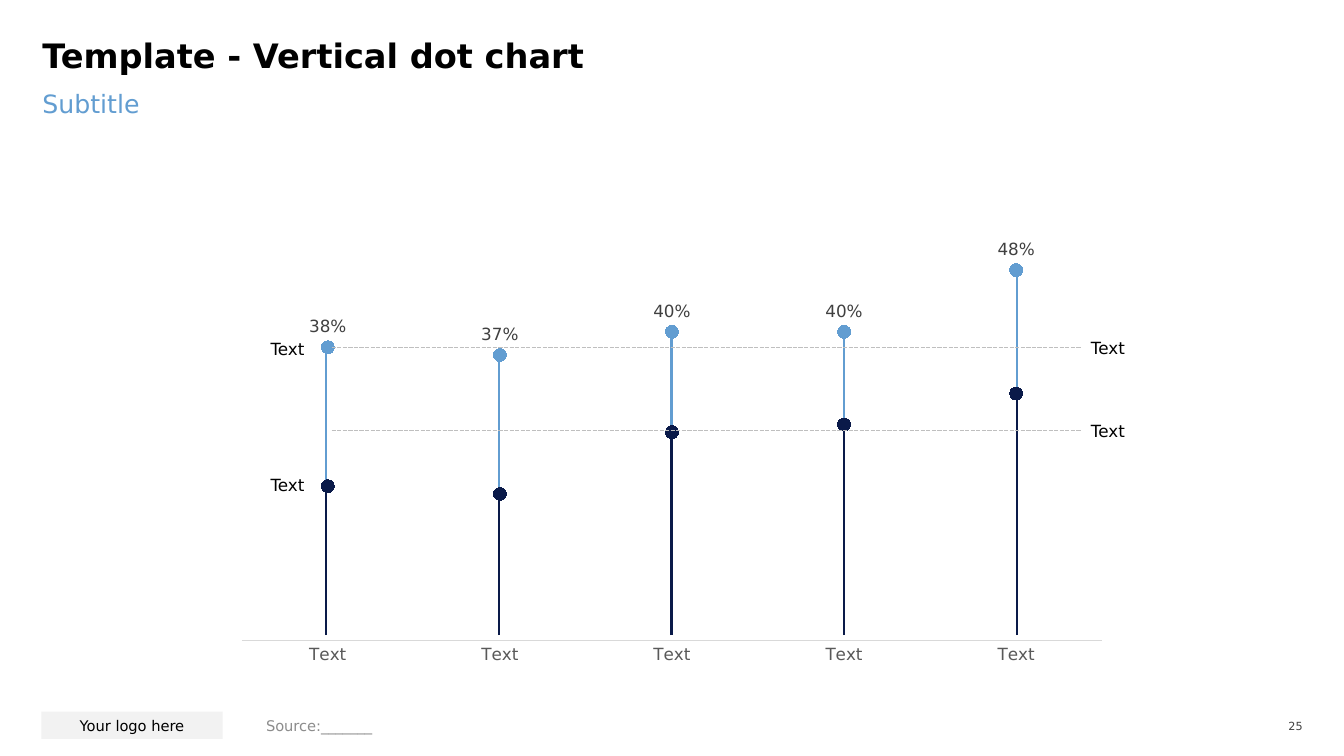
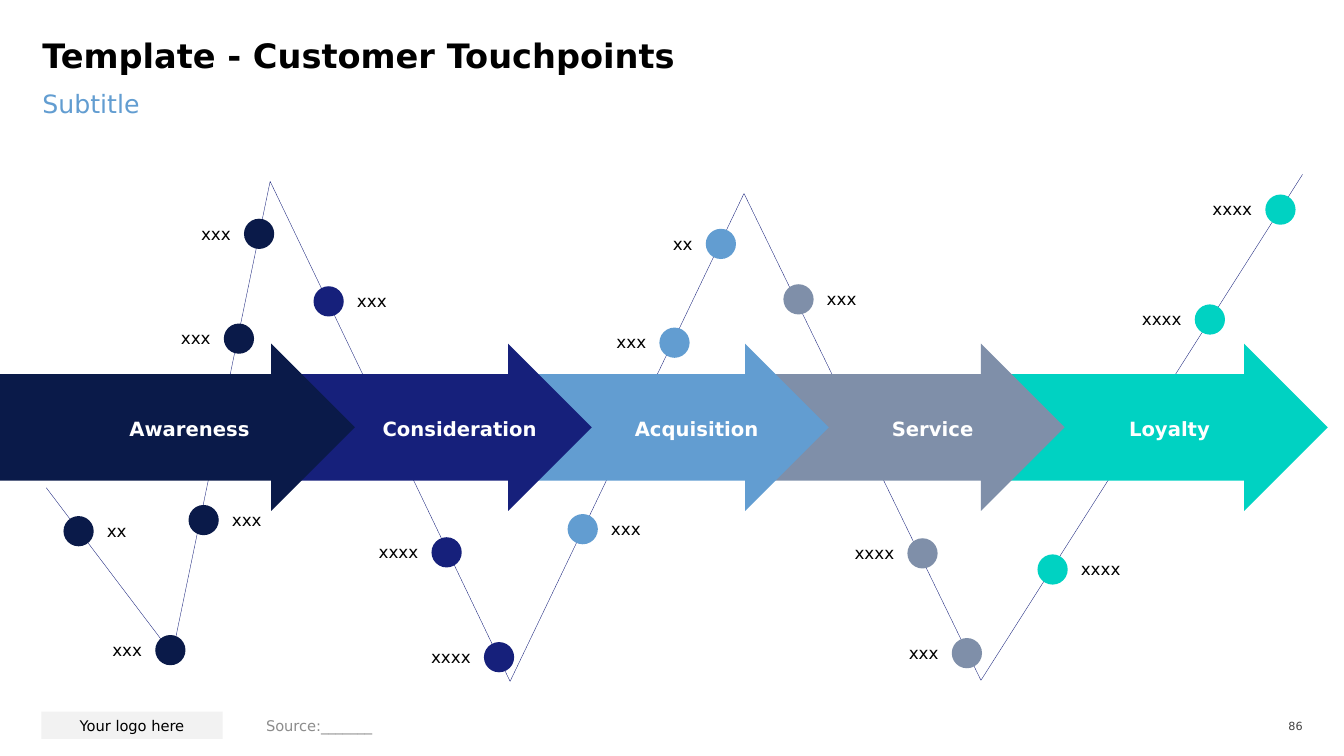
import pptx
import pptx.chart.data
import pptx.dml.color
import pptx.enum.chart
import pptx.enum.dml
import pptx.enum.shapes
import pptx.enum.text
import pptx.oxml.ns
import pptx.util
from lxml import etree

Inches, Pt = pptx.util.Inches, pptx.util.Pt
RGB = pptx.dml.color.RGBColor
KIND = pptx.enum.shapes.MSO_SHAPE
ALIGN = pptx.enum.text.PP_ALIGN
ANCHOR = pptx.enum.text.MSO_ANCHOR
CHART = pptx.enum.chart
DASH = pptx.enum.dml.MSO_LINE.SQUARE_DOT

BLACK = RGB(0x00, 0x00, 0x00)
WHITE = RGB(0xFF, 0xFF, 0xFF)
NAVY = RGB(0x0A, 0x1A, 0x49)
INDIGO = RGB(0x16, 0x20, 0x7B)
SKY = RGB(0x62, 0x9D, 0xD1)
SLATE = RGB(0x7F, 0x8F, 0xA9)
TEAL = RGB(0x00, 0xD2, 0xC2)
PALE = RGB(0xF2, 0xF2, 0xF2)
RULE = RGB(0xD9, 0xD9, 0xD9)
DASHED = RGB(0xBF, 0xBF, 0xBF)
MUTED = RGB(0x8C, 0x8C, 0x8C)
AXIS = RGB(0x59, 0x59, 0x59)
DARK = RGB(0x40, 0x40, 0x40)

FACE = "DejaVu Sans"
WIDE, HIGH = 13.33, 7.5
EDGE = 0.42
SPAN = WIDE - 2 * EDGE

CATS = ["Text"] * 5
SERIES = [
    ("Series 1", [0.2, 0.19, 0.27, 0.28, 0.32], NAVY, 9),
    ("Series 2", [0.38, 0.37, 0.4, 0.4, 0.48], SKY, 9),
    ("Series 3", [None] * 5, TEAL, 5),
]
CHART_BOX = (2.22, 1.66, 8.89, 5.05)
PLOT = {"x": 0.02, "y": 0.02, "w": 0.96, "h": 0.91}
PEAK = 0.6
STEM_LEFT, STEM_STEP, STEM_BASE = 3.23, 1.715, 6.3
DASH_LEFT, DASH_RIGHT = 3.29, 10.72
LEVELS = [3.45, 4.27]
NOTES = [
    (1.55, 3.46, ALIGN.RIGHT),
    (1.55, 4.81, ALIGN.RIGHT),
    (10.82, 3.45, ALIGN.LEFT),
    (10.82, 4.27, ALIGN.LEFT),
]

ROUTE = [(0.46, 4.84), (1.71, 6.49), (2.68, 1.8), (5.06, 6.76),
         (7.38, 1.92), (9.73, 6.75), (12.92, 1.73)]
ARROW_TOP, ARROW_HIGH = 3.41, 1.66
DOT, GAP = 0.3, 0.08
STAGES = [
    ("Awareness", NAVY, 0, 3.52, 1.88, [
        (2.22, 3.21, "xxx", "left"), (2.42, 2.17, "xxx", "left"),
        (0.63, 5.12, "xx", "right"), (1.54, 6.3, "xxx", "left"),
        (1.87, 5.01, "xxx", "right")]),
    ("Consideration", INDIGO, 2.77, 3.1, 4.56, [
        (3.11, 2.84, "xxx", "right"), (4.28, 5.33, "xxxx", "left"),
        (4.8, 6.37, "xxxx", "left")]),
    ("Acquisition", SKY, 5.12, 3.1, 6.91, [
        (6.54, 3.25, "xxx", "left"), (7, 2.27, "xx", "left"),
        (5.63, 5.1, "xxx", "right")]),
    ("Service", SLATE, 7.46, 3.1, 9.25, [
        (7.77, 2.82, "xxx", "right"), (9, 5.34, "xxxx", "left"),
        (9.44, 6.33, "xxx", "left")]),
    ("Loyalty", TEAL, 9.81, 3.36, 11.6, [
        (11.85, 3.02, "xxxx", "left"), (12.55, 1.93, "xxxx", "left"),
        (10.29, 5.5, "xxxx", "right")]),
]


def inch(*sizes):
    return [Inches(size) for size in sizes]


def style(font, size, color, bold=False):
    for key, value in {"name": FACE, "size": Pt(size), "bold": bold}.items():
        setattr(font, key, value)
    font.color.rgb = color


def write(shape, text, size, color=BLACK, bold=False, align=ALIGN.LEFT,
          anchor=ANCHOR.MIDDLE, wrap=True, pad=0):
    frame = shape.text_frame
    form = {"word_wrap": wrap, "vertical_anchor": anchor,
            "margin_left": Inches(pad), "margin_right": Inches(pad),
            "margin_top": 0, "margin_bottom": 0}
    for key, value in form.items():
        setattr(frame, key, value)
    line = frame.paragraphs[0]
    line.alignment = align
    run = line.add_run()
    run.text = text
    style(run.font, size, color, bold)
    return line


def label(slide, box, text, size, **form):
    return write(slide.shapes.add_textbox(*inch(*box)), text, size, **form)


def block(slide, kind, box, fill):
    shape = slide.shapes.add_shape(kind, *inch(*box))
    shape.shadow.inherit = False
    shape.fill.solid()
    shape.fill.fore_color.rgb = fill
    shape.line.fill.background()
    return shape


def stroke(slide, start, end, color, width, dash=None):
    line = slide.shapes.add_connector(
        pptx.enum.shapes.MSO_CONNECTOR.STRAIGHT, *inch(*start, *end))
    line.line.color.rgb = color
    line.line.width = Pt(width)
    if dash:
        line.line.dash_style = dash
    etree.SubElement(line._element.spPr, pptx.oxml.ns.qn("a:effectLst"))


def start(deck, title, page):
    slide = deck.slides.add_slide(deck.slide_layouts[5])
    head = slide.shapes.title
    place = inch(EDGE, 0.42, SPAN, 0.53)
    for key, value in zip(("left", "top", "width", "height"), place):
        setattr(head, key, value)
    line = write(head, title, 24, bold=True, anchor=ANCHOR.TOP)
    line.line_spacing = 0.8
    label(slide, (EDGE, 0.88, SPAN, 0.63), "Subtitle", 18, color=SKY,
          anchor=ANCHOR.TOP)
    logo = block(slide, KIND.RECTANGLE, (0.41, 7.06, 1.8, 0.27), PALE)
    write(logo, "Your logo here", 10.5, align=ALIGN.CENTER, pad=0.1)
    label(slide, (2.54, 7.07, 6.39, 0.26), "Source:_______", 10.5,
          color=MUTED, pad=0.1)
    label(slide, (12.5, 7.09, 0.42, 0.23), str(page), 8, color=DARK,
          align=ALIGN.RIGHT)
    return slide


def level(value):
    top, high = CHART_BOX[1], CHART_BOX[3]
    base = top + high * (PLOT["y"] + PLOT["h"])
    return base - value / PEAK * high * PLOT["h"]


def fix_plot(chart):
    area = chart._chartSpace.chart.plotArea
    for old in area.findall(pptx.oxml.ns.qn("c:layout")):
        area.remove(old)
    tag = pptx.oxml.ns.qn
    outer = etree.Element(tag("c:layout"))
    inner = etree.SubElement(outer, tag("c:manualLayout"))
    parts = {"layoutTarget": "inner", "xMode": "edge", "yMode": "edge", **PLOT}
    for key, value in parts.items():
        etree.SubElement(inner, tag("c:" + key)).set("val", str(value))
    area.insert(0, outer)


def dot_chart(slide):
    data = pptx.chart.data.CategoryChartData(number_format="0%")
    data.categories = CATS
    for name, values, color, size in SERIES:
        data.add_series(name, values)
    chart = slide.shapes.add_chart(CHART.XL_CHART_TYPE.LINE_MARKERS,
                                   *inch(*CHART_BOX), data).chart
    chart.has_legend = chart.has_title = False
    style(chart.font, 10, BLACK)
    fix_plot(chart)
    plot = chart.plots[0]
    plot.vary_by_categories = False
    for series, (name, values, color, size) in zip(plot.series, SERIES):
        series.smooth = False
        series.format.line.fill.background()
        mark = series.marker
        mark.style, mark.size = CHART.XL_MARKER_STYLE.CIRCLE, size
        mark.format.fill.solid()
        mark.format.fill.fore_color.rgb = color
        mark.format.line.color.rgb = color
    tags = plot.series[1].data_labels
    form = {"show_value": True, "number_format": "0%",
            "number_format_is_linked": False,
            "position": CHART.XL_LABEL_POSITION.ABOVE}
    for key, value in form.items():
        setattr(tags, key, value)
    style(tags.font, 12, DARK)
    scale = chart.value_axis
    form = {"minimum_scale": 0, "maximum_scale": PEAK, "visible": False,
            "has_major_gridlines": False}
    for key, value in form.items():
        setattr(scale, key, value)
    axis = chart.category_axis
    axis.major_tick_mark = CHART.XL_TICK_MARK.NONE
    axis.format.line.color.rgb = RULE
    axis.format.line.width = Pt(0.75)
    style(axis.tick_labels.font, 12, AXIS)


def draw_dots(deck):
    slide = start(deck, "Template - Vertical dot chart", 25)
    for step, (low, high) in enumerate(zip(SERIES[0][1], SERIES[1][1])):
        x = STEM_LEFT + step * STEM_STEP
        stroke(slide, (x, STEM_BASE), (x, level(low)), NAVY, 1.5)
        stroke(slide, (x, level(low)), (x, level(high)), SKY, 1.5)
    dot_chart(slide)
    for y in LEVELS:
        stroke(slide, (DASH_LEFT, y), (DASH_RIGHT, y), DASHED, 1, DASH)
    for left, mid, align in NOTES:
        label(slide, (left, mid - 0.1, 1.47, 0.2), "Text", 12, align=align)


def draw_route(slide):
    points = [inch(*point) for point in ROUTE]
    pen = slide.shapes.build_freeform(*points[0])
    pen.add_line_segments(points[1:], close=False)
    route = pen.convert_to_shape()
    route.shadow.inherit = False
    route.fill.background()
    route.line.color.rgb = INDIGO
    route.line.width = Pt(0.25)


def draw_stages(deck):
    slide = start(deck, "Template - Customer Touchpoints", 86)
    draw_route(slide)
    for name, color, left, width, mid, dots in reversed(STAGES):
        arrow = block(slide, KIND.RIGHT_ARROW,
                      (left, ARROW_TOP, width, ARROW_HIGH), color)
        arrow.adjustments[0], arrow.adjustments[1] = 0.636, 0.5
        label(slide, (mid - 0.85, 4.08, 1.7, 0.34), name, 14, color=WHITE,
              bold=True, align=ALIGN.CENTER, wrap=False)
        for x, y, text, side in dots:
            block(slide, KIND.OVAL, (x, y, DOT, DOT), color)
            room = 0.1 * len(text) + 0.1
            near = x - GAP - room if side == "left" else x + DOT + GAP
            align = ALIGN.RIGHT if side == "left" else ALIGN.LEFT
            label(slide, (near, y + 0.02, room, 0.25), text, 12,
                  align=align, wrap=False, pad=0.05)


def main():
    deck = pptx.Presentation()
    deck.slide_width, deck.slide_height = inch(WIDE, HIGH)
    draw_dots(deck)
    draw_stages(deck)
    deck.save("out.pptx")


if __name__ == "__main__":
    main()
